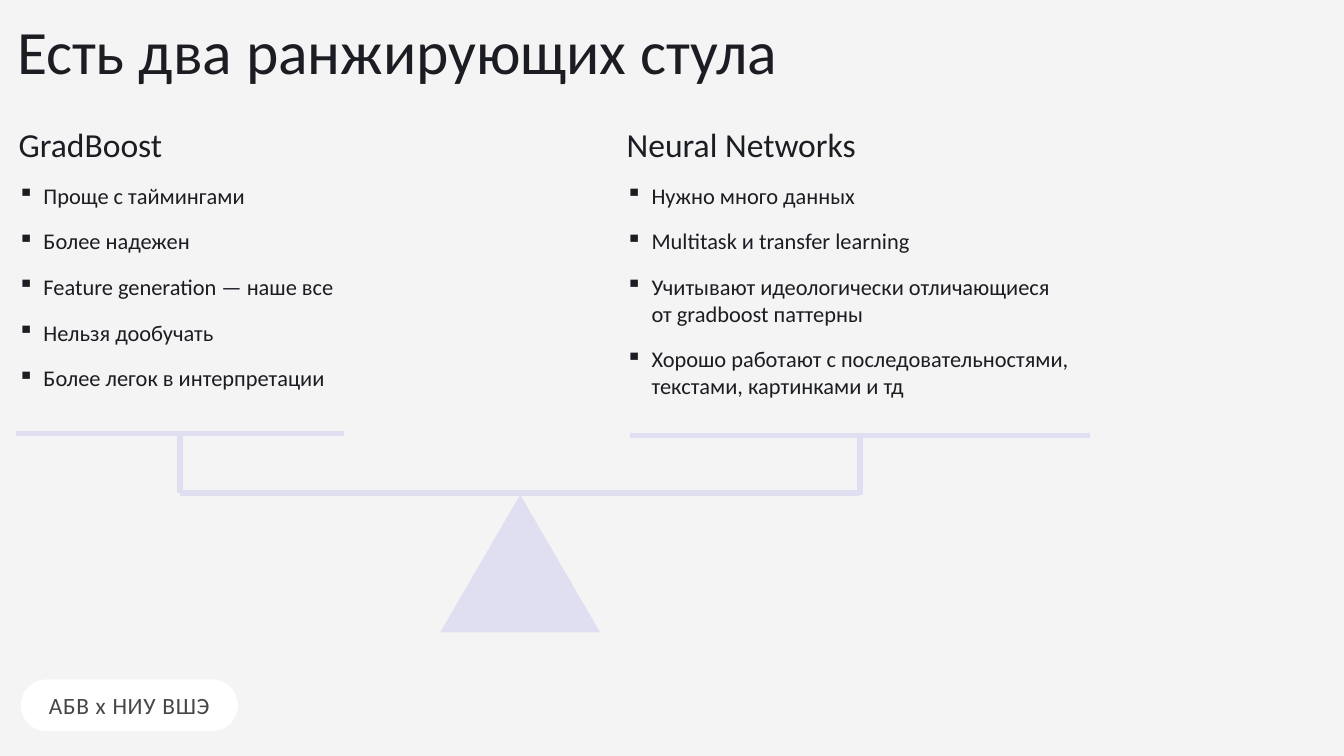
"""Build a slide that weighs gradient boosting against neural networks."""
from lxml import etree
from pptx import Presentation
from pptx.dml.color import RGBColor
from pptx.enum.shapes import MSO_CONNECTOR, MSO_SHAPE
from pptx.enum.text import MSO_ANCHOR, MSO_AUTO_SIZE, PP_ALIGN
from pptx.oxml.ns import qn
from pptx.util import Pt

STRAIGHT = MSO_CONNECTOR.STRAIGHT
TRIANGLE, PILL = MSO_SHAPE.ISOSCELES_TRIANGLE, MSO_SHAPE.ROUNDED_RECTANGLE
TOP, MIDDLE = MSO_ANCHOR.TOP, MSO_ANCHOR.MIDDLE
LEFT, CENTER = PP_ALIGN.LEFT, PP_ALIGN.CENTER
NO_FIT = MSO_AUTO_SIZE.NONE

INK = RGBColor(0x1B, 0x1D, 0x22)
GRAY = RGBColor(0x46, 0x46, 0x46)
LILAC = RGBColor(0xE0, 0xDF, 0xF1)
WHITE = RGBColor(0xFF, 0xFF, 0xFF)
PAPER = RGBColor(0xF4, 0xF4, 0xF4)

FRAME_FORMAT = {"word_wrap": True, "auto_size": NO_FIT, "vertical_anchor": TOP}
TITLE_BOX = {"left": Pt(11.5), "top": Pt(25.2), "width": Pt(1284.5), "height": Pt(102.2)}
BULLET_INDENT = {"marL": Pt(28), "indent": Pt(-27.4)}

COLUMNS = [
    (11.5, 587, "GradBoost", [
        "Проще с таймингами",
        "Более надежен",
        "Feature generation — наше все",
        "Нельзя дообучать",
        "Более легок в интерпретации",
    ]),
    (663, 641, "Neural Networks", [
        "Нужно много данных",
        "Multitask и transfer learning",
        "Учитывают идеологически отличающиеся\vот gradboost паттерны",
        "Хорошо работают с последовательностями,\vтекстами, картинками и тд",
    ]),
]
SCALE_LINES = [
    (193, 528.5, 921.6, 528.5),
    (921.6, 467.3, 921.6, 530),
    (674.6, 466.6, 1167.8, 466.6),
    (193, 465.8, 193, 527.8),
    (17.3, 464.4, 368.6, 464.4),
]


def style(paragraph, size, color=INK, align=LEFT):
    paragraph.alignment = align
    font = paragraph.font
    for key, value in {"name": "Calibri", "size": Pt(size)}.items():
        setattr(font, key, value)
    font.color.rgb = color


def add_plain_shape(preset, box, color):
    shape = slide.shapes.add_shape(preset, *map(Pt, box))
    shape.shadow.inherit = False
    shape.fill.solid()
    shape.fill.fore_color.rgb = color
    shape.line.fill.background()
    return shape


deck = Presentation()
deck.slide_width, deck.slide_height = Pt(1440), Pt(810)
slide = deck.slides.add_slide(deck.slide_layouts[5])
slide.background.fill.solid()
slide.background.fill.fore_color.rgb = PAPER

badge = add_plain_shape(PILL, (22.3, 728, 232.6, 55.4), WHITE)
badge.adjustments[0] = 0.5
badge.text_frame.vertical_anchor = MIDDLE
badge.text_frame.word_wrap = False
badge_line = badge.text_frame.paragraphs[0]
badge_run = badge_line.add_run()
badge_run.text = "АБВ х НИУ ВШЭ"
badge_run.font._element.set("spc", "80")
style(badge_line, 25, GRAY, CENTER)

title = slide.shapes.title
for key, value in TITLE_BOX.items():
    setattr(title, key, value)
title_frame = title.text_frame
title_frame.text = "Есть два ранжирующих стула"
for key, value in {**FRAME_FORMAT, "margin_top": Pt(10)}.items():
    setattr(title_frame, key, value)
title_frame.paragraphs[0].line_spacing = 0.7
style(title_frame.paragraphs[0], 66)

for left, width, heading, points in COLUMNS:
    heading_frame = slide.shapes.add_textbox(Pt(left), Pt(129.6), Pt(590), Pt(51)).text_frame
    points_frame = slide.shapes.add_textbox(Pt(left), Pt(191.5), Pt(width), Pt(247.7)).text_frame
    for frame in (heading_frame, points_frame):
        for key, value in FRAME_FORMAT.items():
            setattr(frame, key, value)

    heading_line = heading_frame.paragraphs[0]
    heading_line.text = heading
    heading_line._p.get_or_add_pPr().set("marL", str(Pt(1.4)))
    style(heading_line, 36)

    for index, point in enumerate(points):
        point_line = points_frame.add_paragraph() if index else points_frame.paragraphs[0]
        point_line.text = point
        if index:
            point_line.space_before = Pt(20)
        properties = point_line._p.get_or_add_pPr()
        for key, value in BULLET_INDENT.items():
            properties.set(key, str(value))
        etree.SubElement(properties, qn("a:buChar"), char="▪")
        style(point_line, 24)

add_plain_shape(TRIANGLE, (471.6, 530, 171.4, 147.6), LILAC)
for ends in SCALE_LINES:
    scale_line = slide.shapes.add_connector(STRAIGHT, *map(Pt, ends))
    scale_line.line.color.rgb = LILAC
    scale_line.line.width = Pt(6)
    etree.SubElement(scale_line._element.spPr, qn("a:effectLst"))

deck.save("out.pptx")
